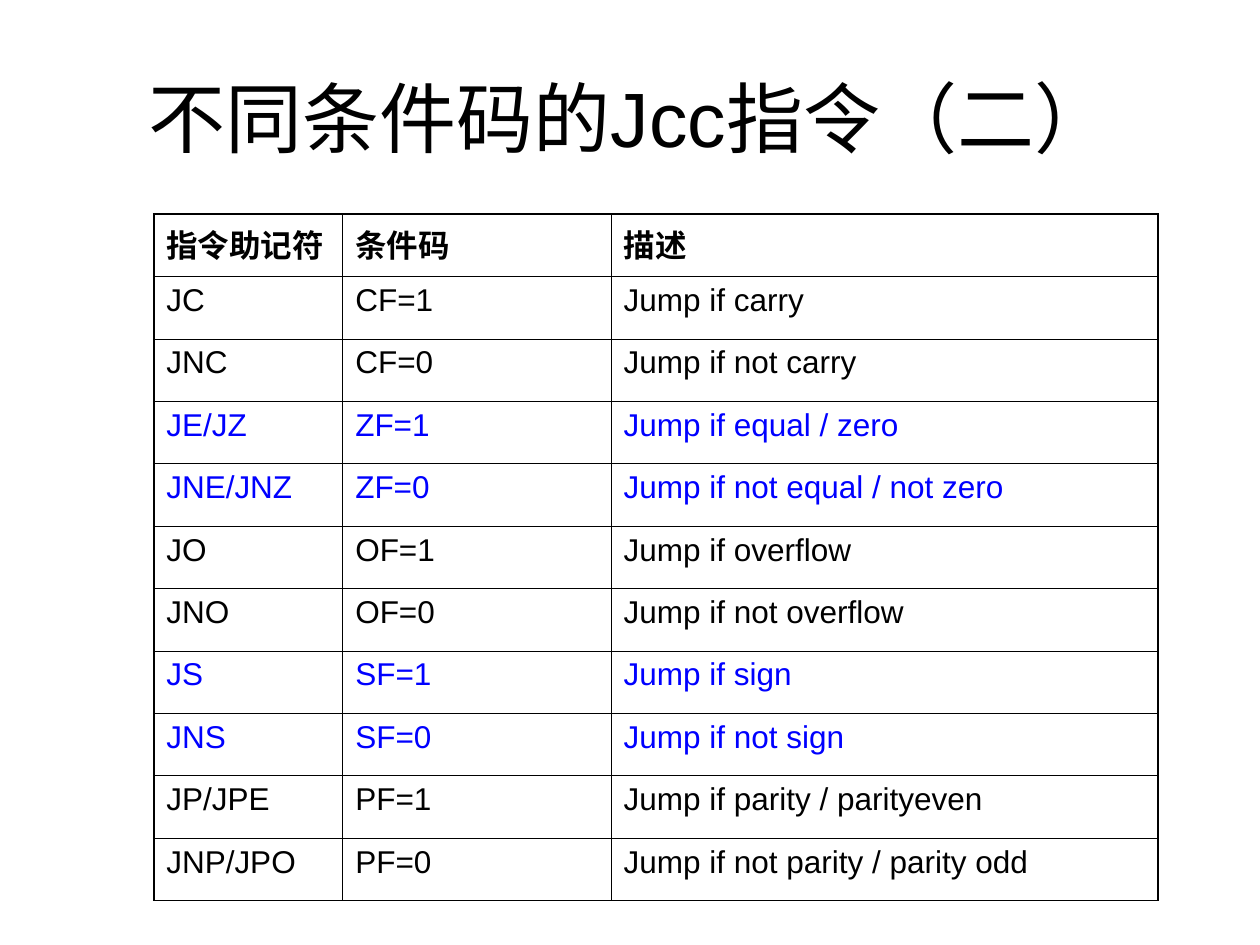
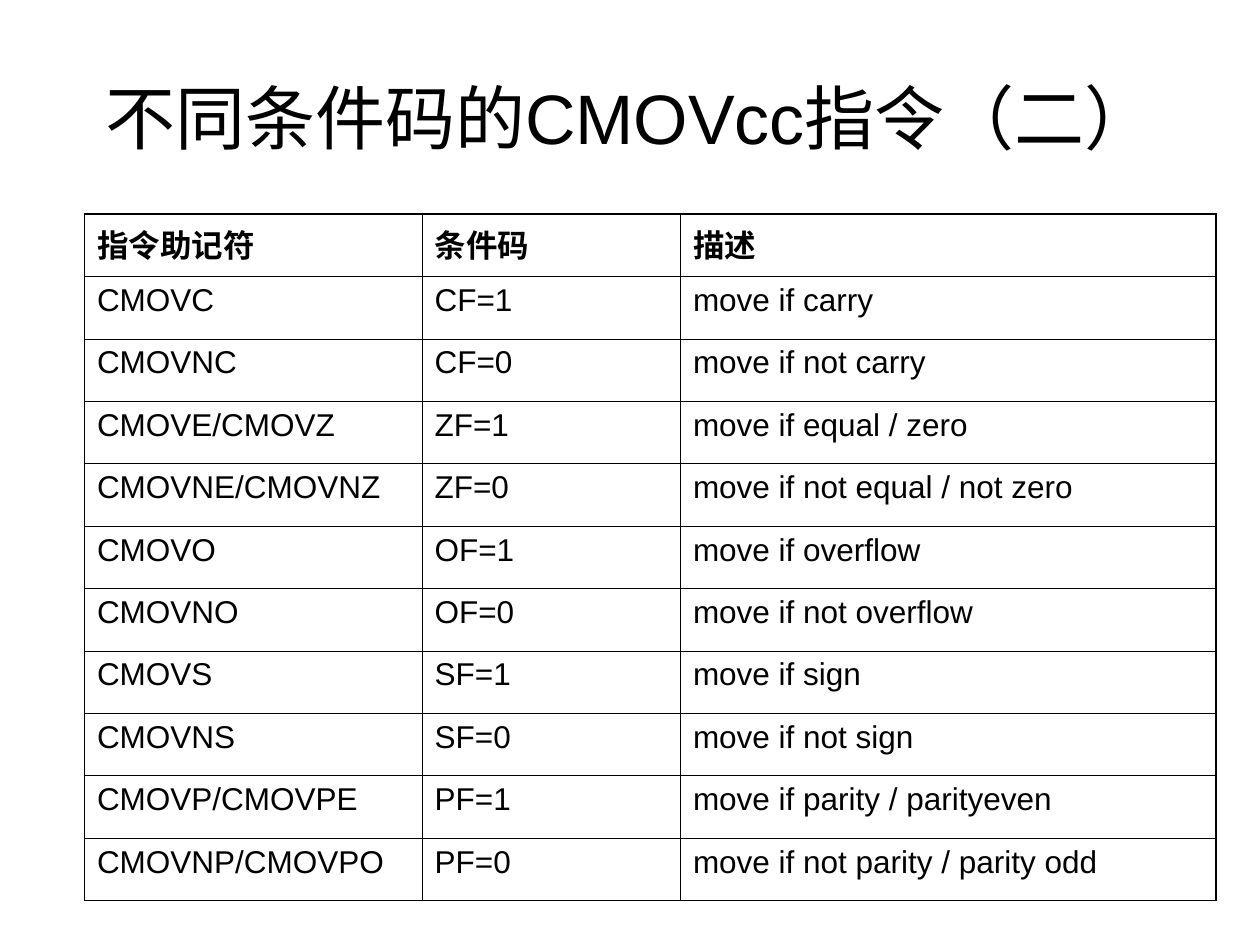
from dataclasses import dataclass

from lxml.etree import SubElement
from pptx import Presentation
from pptx.dml.color import RGBColor
from pptx.enum.lang import MSO_LANGUAGE_ID
from pptx.enum.text import MSO_ANCHOR, PP_ALIGN
from pptx.oxml.ns import qn
from pptx.slide import Slide
from pptx.table import _Cell
from pptx.text.text import _Paragraph
from pptx.util import Emu, Pt

EMU_PER_PX = 9144  # 100 px to the inch
FONT = "Arial"
COLORS = {"text": "000000", "highlight": "0000FF", "border": "000000"}
OUTER_BORDER = Pt(1.08)
INNER_BORDER = Pt(0.45)
TABLE_TOP, TABLE_HEIGHT = 170, 545
HEADER = ("指令助记符", "条件码", "描述")


@dataclass(frozen=True)
class Condition:
    suffixes: tuple[str, ...]
    flag: str
    meaning: str


@dataclass(frozen=True)
class InstructionSlide:
    title: str
    title_size: int
    prefix: str
    verb: str
    table_left: int
    column_widths: tuple[int, int, int]
    highlighted_flags: tuple[str, ...] = ()


CONDITIONS = (
    Condition(("C",), "CF=1", "carry"),
    Condition(("NC",), "CF=0", "not carry"),
    Condition(("E", "Z"), "ZF=1", "equal / zero"),
    Condition(("NE", "NZ"), "ZF=0", "not equal / not zero"),
    Condition(("O",), "OF=1", "overflow"),
    Condition(("NO",), "OF=0", "not overflow"),
    Condition(("S",), "SF=1", "sign"),
    Condition(("NS",), "SF=0", "not sign"),
    Condition(("P", "PE"), "PF=1", "parity / parityeven"),
    Condition(("NP", "PO"), "PF=0", "not parity / parity odd"),
)

INSTRUCTION_SLIDES = (
    InstructionSlide("不同条件码的Jcc指令（二）", 44, "J", "Jump", 122,
                     (150, 213, 434), ("ZF", "SF")),
    InstructionSlide("不同条件码的CMOVcc指令（二）", 40, "CMOV", "move", 67,
                     (268, 205, 425)),
)


def px(length: int) -> Emu:
    return Emu(length * EMU_PER_PX)


def format_runs(paragraph: _Paragraph, size: int, color: str = "text",
                bold: bool = False, chinese: bool = False) -> None:
    for run in paragraph.runs:
        run.font.name = FONT
        run.font.size = Pt(size)
        run.font.bold = bold
        run.font.color.rgb = RGBColor.from_string(COLORS[color])
        if chinese:
            run.font.language_id = MSO_LANGUAGE_ID.SIMPLIFIED_CHINESE


def add_title(slide: Slide, text: str, size: int) -> None:
    text_frame = slide.shapes.add_textbox(px(50), px(30), px(900), px(125)).text_frame
    text_frame.word_wrap = True
    text_frame.vertical_anchor = MSO_ANCHOR.MIDDLE
    text_frame.text = text
    paragraph = text_frame.paragraphs[0]
    paragraph.alignment = PP_ALIGN.CENTER
    format_runs(paragraph, size, chinese=True)


def set_borders(cell: _Cell, outer_sides: dict[str, bool]) -> None:
    """Draw all four edges, heavier where the side lies on the table's outline."""
    properties = cell._tc.get_or_add_tcPr()
    for side, is_outer in outer_sides.items():
        width = OUTER_BORDER if is_outer else INNER_BORDER
        line = SubElement(properties, qn(f"a:ln{side}"), w=str(int(width)))
        fill = SubElement(line, qn("a:solidFill"))
        SubElement(fill, qn("a:srgbClr"), val=COLORS["border"])


def table_rows(content: InstructionSlide) -> list[tuple[str, str, str]]:
    return [HEADER] + [
        ("/".join(content.prefix + suffix for suffix in condition.suffixes),
         condition.flag,
         f"{content.verb} if {condition.meaning}")
        for condition in CONDITIONS
    ]


def add_instruction_table(slide: Slide, content: InstructionSlide) -> None:
    rows = table_rows(content)
    last_row, last_column = len(rows) - 1, len(HEADER) - 1
    table = slide.shapes.add_table(
        len(rows), len(HEADER), px(content.table_left), px(TABLE_TOP),
        px(sum(content.column_widths)), px(TABLE_HEIGHT)).table
    table.first_row = False
    table.horz_banding = False
    for column, width in zip(table.columns, content.column_widths):
        column.width = px(width)
    for row_index, texts in enumerate(rows):
        is_header = row_index == 0
        highlighted = texts[1].startswith(content.highlighted_flags)
        for column_index, text in enumerate(texts):
            cell = table.cell(row_index, column_index)
            set_borders(cell, {
                "L": column_index == 0, "R": column_index == last_column,
                "T": is_header, "B": row_index == last_row})
            cell.fill.background()
            cell.text_frame.text = text
            format_runs(cell.text_frame.paragraphs[0], 18,
                        "highlight" if highlighted else "text",
                        bold=is_header, chinese=is_header)


def main() -> None:
    presentation = Presentation()
    presentation.slide_width, presentation.slide_height = px(1000), px(750)
    blank_layout = presentation.slide_layouts[6]
    for content in INSTRUCTION_SLIDES:
        slide = presentation.slides.add_slide(blank_layout)
        add_title(slide, content.title, content.title_size)
        add_instruction_table(slide, content)
    presentation.save("out.pptx")


if __name__ == "__main__":
    main()
